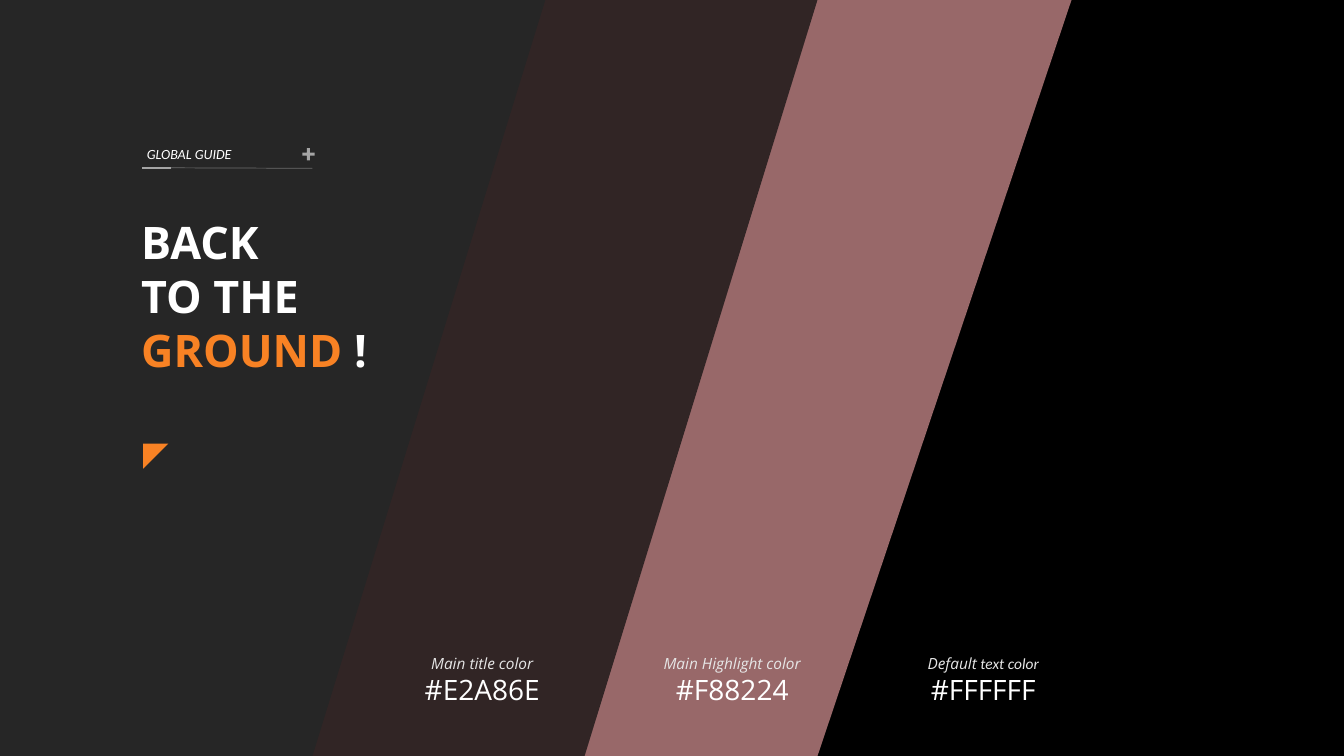
"""Build the colour guide slide with slanted bands and three colour labels."""
from lxml.etree import SubElement
from pptx import Presentation
from pptx.dml.color import RGBColor
from pptx.enum.shapes import MSO_CONNECTOR as CONN, MSO_SHAPE as SHAPE
from pptx.enum.text import MSO_ANCHOR as ANCHOR, MSO_AUTO_SIZE as AUTO, PP_ALIGN as ALIGN
from pptx.oxml.ns import qn
from pptx.util import Pt

W, H = 960, 540
SANS, CALIBRI = "Open Sans", "Calibri"
COLORS = {
    "black": "000000", "rose": "986869", "brown": "312525", "charcoal": "262626",
    "white": "FFFFFF", "pale": "E6E6E6", "orange": "F88224", "gray": "A5A5A5",
    "rule": "D9D9D9",
}
# left, top right, bottom right
BANDS = [
    ("rose", 341.28, 765.36, 583.92),
    ("brown", 194.4, 583.92, 417.6),
    ("charcoal", 0, 389.52, 223.2),
]
LABELS = [
    (295.92, 97.2, [("Main title color", SANS)], "#E2A86E"),
    (466.56, 113.04, [("Main Highlight color", SANS)], "#F88224"),
    (653.76, 97.2, [("Default", SANS), (" text color", CALIBRI)], "#FFFFFF"),
]
LABEL_TOP, LABEL_H = 463.68, 44.64
TITLE_LINES, TITLE_END = ["BACK", "TO THE ", "GROUND"], " !"
TITLE_BOX = (93.6, 149.76, 177.12, 123.84)
GUIDE, GUIDE_BOX = "GLOBAL GUIDE", (97.92, 100.08, 76.32, 19.44)
# ends, colour, width, opacity in percent
RULES = [
    ((223.2, 120.24, 101.52, 119.8), "rule", 0.5, 40),
    ((122.4, 120.24, 101.52, 120.24), "gray", 1.25, 100),
]
PLUS_BOX = (216, 105.84, 8.64, 8.64)
CORNER_BOX = (102.24, 316.8, 18, 18)


def rgb(name):
    return RGBColor.from_string(COLORS[name])


def pts(values):
    return [Pt(v) for v in values]


def paint(sp, color):
    sp.shadow.inherit = False
    sp.fill.solid()
    sp.fill.fore_color.rgb = rgb(color)
    sp.line.fill.background()
    return sp


def style(r, font, size, color, bold=False, italic=False):
    f = r.font
    f.name, f.size, f.bold, f.italic = font, Pt(size), bold, italic
    f.color.rgb = rgb(color)


def add_band(slide, color, left, top_right, bottom_right):
    fb = slide.shapes.build_freeform(Pt(left), 0)
    fb.add_line_segments([pts(xy) for xy in
                          ((top_right, 0), (bottom_right, H), (left, H))])
    paint(fb.convert_to_shape(), color)


def add_text(slide, box):
    tf = slide.shapes.add_textbox(*pts(box)).text_frame
    tf.word_wrap = False
    return tf


def add_label(slide, left, width, caption, code):
    tf = add_text(slide, (left, LABEL_TOP, width, LABEL_H))
    p = tf.paragraphs[0]
    p.alignment = ALIGN.CENTER
    for text, font in caption:
        r = p.add_run()
        r.text = text
        style(r, font, 11, "pale", italic=True)
    p = tf.add_paragraph()
    p.alignment = ALIGN.CENTER
    p.text = code
    style(p.runs[0], SANS, 20, "white")


def add_rule(slide, ends, color, width, opacity):
    line = slide.shapes.add_connector(CONN.STRAIGHT, *pts(ends))
    line.line.color.rgb = rgb(color)
    line.line.width = Pt(width)
    if opacity < 100:
        clr = next(line.element.iter(qn("a:srgbClr")))
        SubElement(clr, qn("a:alpha")).set("val", str(opacity * 1000))
    SubElement(line.element.spPr, qn("a:effectLst"))


def set_title(title):
    title.left, title.top, title.width, title.height = pts(TITLE_BOX)
    tree = title.element.getparent()
    tree.append(title.element)
    tf = title.text_frame
    tf.word_wrap, tf.auto_size, tf.vertical_anchor = False, AUTO.NONE, ANCHOR.TOP
    p = tf.paragraphs[0]
    p.text = "\v".join(TITLE_LINES)
    p.alignment = ALIGN.LEFT
    p.add_run().text = TITLE_END
    for r, color in zip(p.runs, ("white", "white", "orange", "white")):
        style(r, SANS, 32, color, bold=True)


def main():
    prs = Presentation()
    prs.slide_width, prs.slide_height = Pt(W), Pt(H)
    slide = prs.slides.add_slide(prs.slide_layouts[5])
    slide.background.fill.solid()
    slide.background.fill.fore_color.rgb = rgb("black")

    for band in BANDS:
        add_band(slide, *band)
    for label in LABELS:
        add_label(slide, *label)
    set_title(slide.shapes.title)

    p = add_text(slide, GUIDE_BOX).paragraphs[0]
    p.text = GUIDE
    style(p.runs[0], CALIBRI, 10, "white", italic=True)
    for rule in RULES:
        add_rule(slide, *rule)
    plus = paint(slide.shapes.add_shape(SHAPE.CROSS, *pts(PLUS_BOX)), "gray")
    plus.adjustments[0] = 0.375
    corner = paint(slide.shapes.add_shape(SHAPE.RIGHT_TRIANGLE, *pts(CORNER_BOX)), "orange")
    corner.rotation = 90
    prs.save("out.pptx")


if __name__ == "__main__":
    main()
